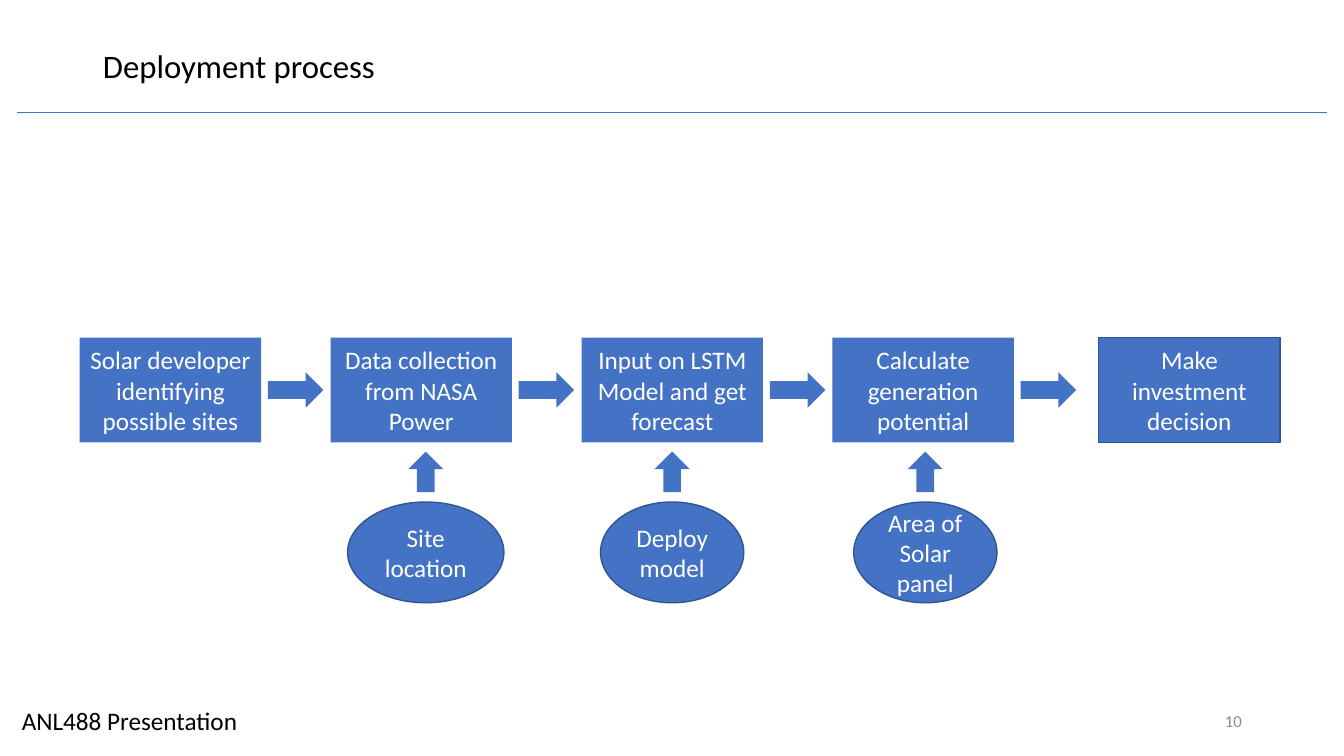
from dataclasses import dataclass

from pptx import Presentation
from pptx.dml import color
from pptx.enum import shapes, text
from pptx.oxml import ns
from pptx.util import Cm, Pt
from lxml import etree

TITLE = "Deployment process"
FOOTER = "ANL488 Presentation"
PAGE_NUMBER = "10"
STEPS = [
    {"label": "Solar developer identifying possible sites", "left": 2.01},
    {"label": "Data collection from NASA Power", "left": 8.33},
    {"label": "Input on LSTM Model and get forecast", "left": 14.66},
    {"label": "Calculate generation potential", "left": 20.98},
    {"label": "Make investment decision", "left": 27.69, "line": True},
]
INPUTS = [
    {"label": "Site location", "center": 10.73, "width": 3.94},
    {"label": "Deploy model", "center": 16.94, "width": 3.61},
    {"label": "Area of Solar panel", "center": 23.32, "width": 3.61},
]
STEP_TOP, STEP_WIDTH, STEP_HEIGHT = 8.51, 4.57, 2.64
INPUT_TOP, INPUT_HEIGHT = 12.65, 2.54
ARROW_THICKNESS, ARROW_LENGTH, UP_ARROW_LENGTH = 0.89, 1.4, 1.02
ARROW_OFFSET, UP_ARROW_TOP = 5.44, 11.38


@dataclass(frozen=True)
class Theme:
    """Colours, font and type sizes of the slide."""
    font: str = "Calibri"
    blue: str = "4472C4"
    edge: str = "325491"
    white: str = "FFFFFF"
    black: str = "000000"
    grey: str = "8C8C8C"
    title: float = 23.4
    body: float = 18
    number: float = 12


THEME = Theme()
KIND = shapes.MSO_SHAPE


def rgb(value):
    """Turn a hex string into a colour."""
    return color.RGBColor.from_string(value)


def write(box, words, size=THEME.body, ink=THEME.black, align=text.PP_ALIGN.LEFT,
          anchor=text.MSO_ANCHOR.MIDDLE, spacing=None):
    """Put formatted words into a box."""
    frame = box.text_frame
    frame.word_wrap = True
    frame.auto_size = text.MSO_AUTO_SIZE.NONE
    frame.vertical_anchor = anchor
    para = frame.paragraphs[0]
    para.alignment = align
    para.line_spacing = spacing
    span = para.add_run()
    span.text = words
    span.font.name = THEME.font
    span.font.size = Pt(size)
    span.font.color.rgb = rgb(ink)


def add_block(page, kind, left, top, width, height, label=None, line=False):
    """Add a blue shape with an optional label and outline."""
    block = page.shapes.add_shape(kind, Cm(left), Cm(top), Cm(width), Cm(height))
    block.shadow.inherit = False
    block.fill.solid()
    block.fill.fore_color.rgb = rgb(THEME.blue)
    if line:
        block.line.color.rgb = rgb(THEME.edge)
        block.line.width = Pt(1)
    else:
        block.line.fill.background()
    if label:
        write(block, label, ink=THEME.white, align=text.PP_ALIGN.CENTER)


def add_frame(page):
    """Add the title, its rule, the footer and the page number."""
    title = page.shapes.title
    title.left, title.top, title.width, title.height = Cm(2.34), Cm(1.04), Cm(29.21), Cm(1.35)
    write(title, TITLE, size=THEME.title, spacing=0.9)
    rule = page.shapes.add_connector(shapes.MSO_CONNECTOR.STRAIGHT,
                                     Cm(0.43), Cm(2.84), Cm(33.43), Cm(2.84))
    rule.line.color.rgb = rgb(THEME.blue)
    rule.line.width = Pt(0.5)
    etree.SubElement(rule.line._get_or_add_ln().getparent(), ns.qn("a:effectLst"))
    footer = page.shapes.add_textbox(Cm(0.3), Cm(17.65), Cm(17.48), Cm(1.02))
    write(footer, FOOTER, anchor=text.MSO_ANCHOR.TOP)
    number = page.shapes.add_textbox(Cm(23.93), Cm(17.65), Cm(7.62), Cm(1.02))
    write(number, PAGE_NUMBER, size=THEME.number, ink=THEME.grey, align=text.PP_ALIGN.RIGHT)


def add_flow(page):
    """Add the steps with arrows between them and the inputs below."""
    for step in STEPS:
        add_block(page, KIND.RECTANGLE, step["left"], STEP_TOP, STEP_WIDTH, STEP_HEIGHT,
                  label=step["label"], line=step.get("line", False))
    arrow_top = STEP_TOP + (STEP_HEIGHT - ARROW_THICKNESS) / 2
    for step in STEPS[:-1]:
        add_block(page, KIND.RIGHT_ARROW, step["left"] + ARROW_OFFSET - ARROW_LENGTH / 2,
                  arrow_top, ARROW_LENGTH, ARROW_THICKNESS)
    for entry in INPUTS:
        add_block(page, KIND.UP_ARROW, entry["center"] - ARROW_THICKNESS / 2, UP_ARROW_TOP,
                  ARROW_THICKNESS, UP_ARROW_LENGTH)
        add_block(page, KIND.OVAL, entry["center"] - entry["width"] / 2, INPUT_TOP,
                  entry["width"], INPUT_HEIGHT, label=entry["label"], line=True)


def main():
    """Build the deck and save it."""
    deck = Presentation()
    deck.slide_width, deck.slide_height = Cm(33.87), Cm(19.05)
    page = deck.slides.add_slide(deck.slide_layouts[5])
    add_frame(page)
    add_flow(page)
    deck.save("out.pptx")


if __name__ == "__main__":
    main()
